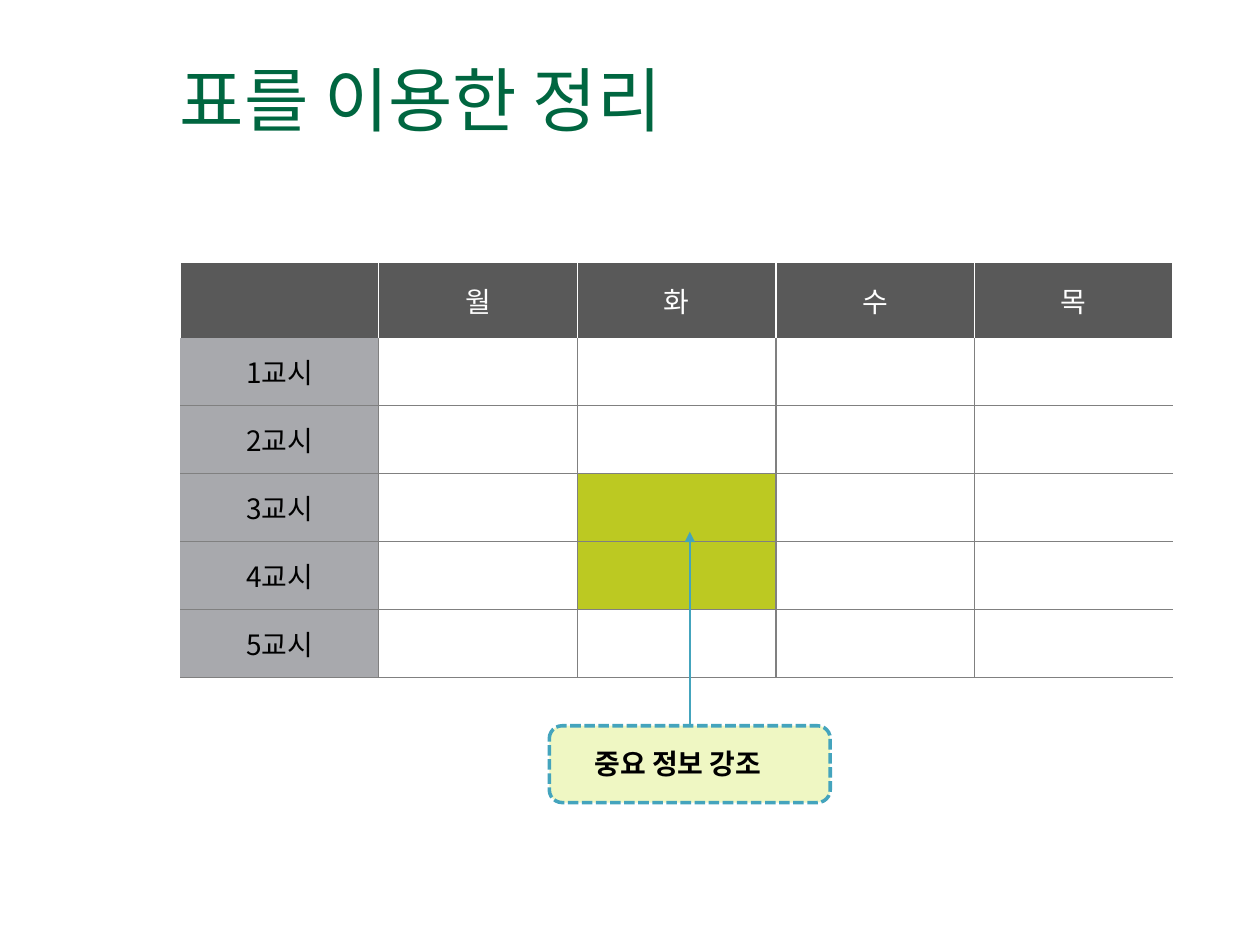
"""Build a slide with a timetable whose key lessons are highlighted by a callout."""
from dataclasses import dataclass

from lxml import etree
from pptx import Presentation
from pptx.dml.color import RGBColor
from pptx.enum.dml import MSO_LINE
from pptx.enum.shapes import MSO_CONNECTOR, MSO_SHAPE
from pptx.enum.text import MSO_ANCHOR, PP_ALIGN
from pptx.oxml.ns import qn
from pptx.util import Inches, Pt

MIDDLE, TOP = MSO_ANCHOR.MIDDLE, MSO_ANCHOR.TOP
CENTER, LEFT = PP_ALIGN.CENTER, PP_ALIGN.LEFT
ROUNDED = MSO_SHAPE.FLOWCHART_ALTERNATE_PROCESS
STRAIGHT = MSO_CONNECTOR.STRAIGHT
DASH = MSO_LINE.SQUARE_DOT


@dataclass(frozen=True)
class Theme:
    font: str = "Noto Sans CJK KR"
    title_size: int = 40
    body_size: int = 16
    title: str = "006640"
    black: str = "000000"
    white: str = "FFFFFF"
    header: str = "595959"
    period: str = "A8A9AD"
    highlight: str = "BCC922"
    grid: str = "808080"
    callout: str = "EFF7C3"
    accent: str = "44A4BD"


THEME = Theme()


def write_text(frame, text, size=THEME.body_size, color=THEME.black, bold=False,
               align=LEFT, anchor=TOP, spacing=1.0, wrap=True):
    frame.word_wrap = wrap
    frame.vertical_anchor = anchor
    paragraph = frame.paragraphs[0]
    paragraph.alignment = align
    paragraph.line_spacing = spacing
    run = paragraph.add_run()
    run.text = text
    run.font.size = Pt(size)
    run.font.bold = bold
    run.font.color.rgb = RGBColor.from_string(color)
    run.font.name = THEME.font
    properties = run.font._element
    etree.SubElement(properties, qn("a:ea"), typeface=THEME.font)


def set_borders(cell, colors):
    properties = cell._tc.get_or_add_tcPr()
    for side in "LRTB":
        border = etree.SubElement(properties, qn(f"a:ln{side}"), w=str(Pt(1)))
        if side in colors:
            fill = etree.SubElement(border, qn("a:solidFill"))
            etree.SubElement(fill, qn("a:srgbClr"), val=colors[side])
        else:
            etree.SubElement(border, qn("a:noFill"))


presentation = Presentation()
presentation.slide_width = Inches(10)
presentation.slide_height = Inches(7.5)
slide = presentation.slides.add_slide(presentation.slide_layouts[6])

title = slide.shapes.add_textbox(Inches(1.33), Inches(0.1), Inches(8.62), Inches(1.45))
write_text(title.text_frame, "표를 이용한 정리", size=THEME.title_size,
           color=THEME.title, anchor=MIDDLE, spacing=0.9)

callout = slide.shapes.add_shape(ROUNDED, Inches(4.36), Inches(5.76), Inches(2.23), Inches(0.61))
callout.shadow.inherit = False
callout.fill.solid()
callout.fill.fore_color.rgb = RGBColor.from_string(THEME.callout)
callout.line.color.rgb = RGBColor.from_string(THEME.accent)
callout.line.width = Pt(2)
callout.line.dash_style = DASH

days = ["월", "화", "수", "목"]
rows = [["", *days]] + [[f"{period}교시"] + [""] * len(days) for period in range(1, 6)]
highlighted = {(3, 2), (4, 2)}
last_column = len(days)
table = slide.shapes.add_table(len(rows), len(rows[0]), Inches(1.43), Inches(2.08),
                               Inches(7.88), Inches(3.3)).table
for column in table.columns:
    column.width = Inches(7.88 / len(rows[0]))
for row_index, values in enumerate(rows):
    table.rows[row_index].height = Inches(0.54 if row_index else 0.6)
    for column_index, value in enumerate(values):
        cell = table.cell(row_index, column_index)
        if row_index == 0:
            fill, text_color = THEME.header, THEME.white
            sides, border_color = "LRT", THEME.white
        else:
            fill, text_color = THEME.white, THEME.black
            sides, border_color = "LRTB", THEME.grid
            if column_index == 0:
                fill = THEME.period
                sides = sides.replace("L", "")
            elif (row_index, column_index) in highlighted:
                fill = THEME.highlight
            if column_index == last_column:
                sides = sides.replace("R", "")
            if row_index == 1:
                sides = sides.replace("T", "")
        set_borders(cell, dict.fromkeys(sides, border_color))
        cell.fill.solid()
        cell.fill.fore_color.rgb = RGBColor.from_string(fill)
        cell.vertical_anchor = MIDDLE
        if value:
            write_text(cell.text_frame, value, color=text_color, align=CENTER, anchor=MIDDLE)

arrow = slide.shapes.add_connector(STRAIGHT, Inches(5.47), Inches(5.76), Inches(5.47), Inches(4.22))
arrow.begin_connect(callout, 0)
arrow.end_x = arrow.begin_x
arrow.line.color.rgb = RGBColor.from_string(THEME.accent)
arrow.line.width = Pt(1.5)
etree.SubElement(arrow.line._get_or_add_ln(), qn("a:tailEnd"), type="triangle")
etree.SubElement(arrow._element.spPr, qn("a:effectLst"))

label = slide.shapes.add_textbox(Inches(4.62), Inches(5.88), Inches(1.59), Inches(0.37))
write_text(label.text_frame, "중요 정보 강조", bold=True, wrap=False)

presentation.save("out.pptx")
